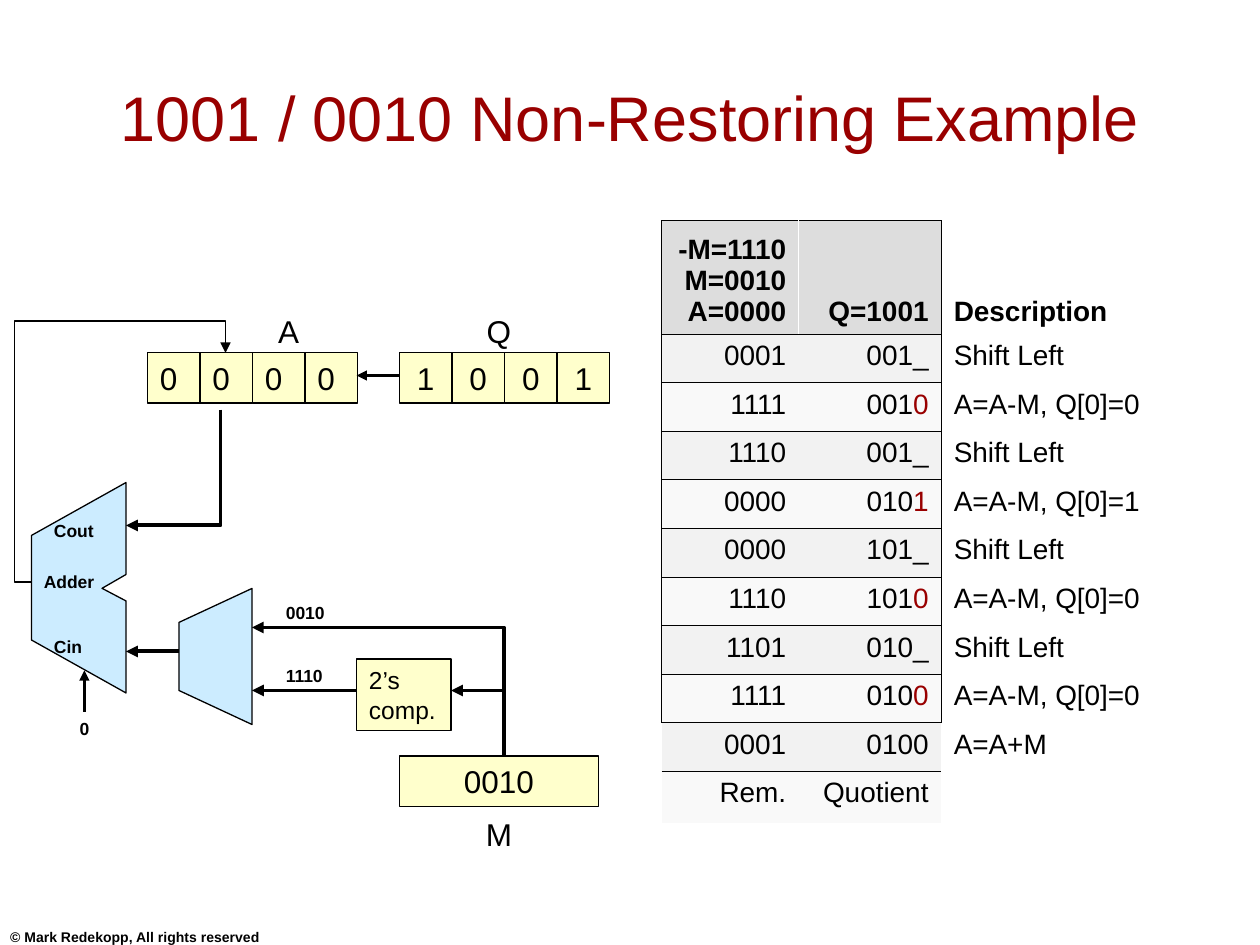
from copy import deepcopy

from lxml.etree import SubElement
from pptx import Presentation
from pptx.dml.color import RGBColor
from pptx.enum.shapes import MSO_CONNECTOR, MSO_SHAPE
from pptx.enum.text import MSO_ANCHOR, PP_ALIGN
from pptx.oxml.ns import qn
from pptx.util import Inches, Pt

COLORS = {"black": "000000", "white": "FFFFFF", "red": "990000", "blue": "CCECFF",
          "yellow": "FFFFCC", "header": "DDDDDD", "odd": "F2F2F2", "even": "F9F9F9"}
INSETS = (0.1, 0.05, 0.1, 0.05)
LEFT, CENTER, RIGHT = PP_ALIGN.LEFT, PP_ALIGN.CENTER, PP_ALIGN.RIGHT
LABEL = {"size": Pt(10), "bold": True}
CELL = 0.417
HEADINGS = ("-M=1110\vM=0010\vA=0000", "Q=1001", "Description")
STEPS = (
    ("0001", "001_", "Shift Left"), ("1111", "0010", "A=A-M, Q[0]=0"),
    ("1110", "001_", "Shift Left"), ("0000", "0101", "A=A-M, Q[0]=1"),
    ("0000", "101_", "Shift Left"), ("1110", "1010", "A=A-M, Q[0]=0"),
    ("1101", "010_", "Shift Left"), ("1111", "0100", "A=A-M, Q[0]=0"),
    ("0001", "0100", "A=A+M"), ("Rem.", "Quotient", ""),
)


def rgb(name):
    return RGBColor.from_string(COLORS[name])


def inches(*lengths):
    return [Inches(length) for length in lengths]


def write(frame, text, size=Pt(18), bold=False, align=LEFT, anchor=MSO_ANCHOR.TOP,
          color="black", insets=INSETS):
    margins = zip(("left", "top", "right", "bottom"), insets)
    formats = {f"margin_{side}": Inches(value) for side, value in margins}
    formats.update(word_wrap=True, vertical_anchor=anchor)
    for name, value in formats.items():
        setattr(frame, name, value)
    frame.text = text
    paragraph = frame.paragraphs[0]
    paragraph.alignment = align
    for run in paragraph.runs:
        for name, value in {"name": "Arial", "size": size, "bold": bold}.items():
            setattr(run.font, name, value)
        run.font.color.rgb = rgb(color)
    for line_break in paragraph._p.findall(qn("a:br")):
        line_break.insert(0, deepcopy(paragraph.runs[0]._r.rPr))


def add_text(slide, box, text, **formats):
    write(slide.shapes.add_textbox(*inches(*box)).text_frame, text, **formats)


def paint(shape, color, width=0.75):
    shape.shadow.inherit = False
    if color:
        shape.fill.solid()
        shape.fill.fore_color.rgb = rgb(color)
    else:
        shape.fill.background()
    shape.line.color.rgb = rgb("black")
    shape.line.width = Pt(width)


def add_box(slide, box, text, **formats):
    shape = slide.shapes.add_shape(MSO_SHAPE.RECTANGLE, *inches(*box))
    paint(shape, "yellow")
    write(shape.text_frame, text, **formats)


def add_outline(slide, points, color=None, width=0.75, close=True):
    start, *rest = [tuple(inches(*point)) for point in points]
    builder = slide.shapes.build_freeform(*start)
    builder.add_line_segments(rest, close=close)
    shape = builder.convert_to_shape()
    paint(shape, color, width)
    return shape


def add_arrowhead(shape):
    SubElement(shape.line._get_or_add_ln(), qn("a:tailEnd"), type="triangle")


def add_path(slide, points):
    add_arrowhead(add_outline(slide, points, width=2.25, close=False))


def add_arrow(slide, start, end, width=2.25, kind=MSO_CONNECTOR.STRAIGHT):
    connector = slide.shapes.add_connector(kind, *inches(*start, *end))
    connector.line.color.rgb = rgb("black")
    connector.line.width = Pt(width)
    add_arrowhead(connector)
    SubElement(connector._element.spPr, qn("a:effectLst"))
    return connector


def add_feedback(slide, start, end):
    connector = add_arrow(slide, start, end, 1, MSO_CONNECTOR.ELBOW)
    properties = connector._element.spPr
    transform = properties.find(qn("a:xfrm"))
    transform.attrib.pop("flipV")
    transform.set("rot", "10800000")
    transform.set("flipH", "1")
    geometry = properties.find(qn("a:prstGeom"))
    geometry.set("prst", "bentConnector4")
    guides = geometry.find(qn("a:avLst"))
    for name, value in (("adj1", -8700), ("adj2", 113800)):
        SubElement(guides, qn("a:gd"), name=name, fmla=f"val {value}")


def add_register(slide, left, top, name, name_offset, name_width, digits, align):
    add_text(slide, (left + name_offset, top - 0.37, name_width, 0.4), name, align=CENTER)
    for index, digit in enumerate(digits):
        add_box(slide, (left + index * CELL, top, CELL, 0.4), digit, align=align)


def add_adder(slide, left, top):
    outline = ((0, 0.42), (0, 1.25), (0.75, 1.67), (0.75, 0.94), (0.56, 0.84),
               (0.75, 0.73), (0.75, 0))
    add_outline(slide, [(left + x, top + y) for x, y in outline], "blue")
    for text, x, y, width in (("Cout", 0.08, 0.25, 0.58), ("Adder", 0, 0.65, 0.67),
                              ("Cin", 0.08, 1.17, 0.58)):
        add_text(slide, (left + x, top + y, width, 0.27), text, **LABEL)
    add_text(slide, (left - 0.08, top + 1.82, 1, 0.27), "0", align=CENTER, **LABEL)
    add_arrow(slide, (left + 0.42, top + 1.82), (left + 0.42, top + 1.49), 1.5)


def add_multiplexer(slide, left, top):
    outline = ((0.58, 0), (0, 0.27), (0, 0.81), (0.58, 1.08))
    add_outline(slide, [(left + x, top + y) for x, y in outline], "blue")
    for text, y in (("0010", 0.06), ("1110", 0.56)):
        add_text(slide, (left + 0.75, top + y, 0.58, 0.27), text, **LABEL)
    add_arrow(slide, (left, top + 0.5), (left - 0.42, top + 0.5))


def add_divisor(slide, left, top):
    add_box(slide, (left, top, 1.58, 0.4), "0010", align=CENTER)
    add_text(slide, (left, top + 0.42, 1.58, 0.4), "M", align=CENTER)
    add_box(slide, (left - 0.34, top - 0.77, 0.75, 0.57), "2’s comp.", size=Pt(14))
    bus, upper, lower = left + 0.83, top - 1.02, top - 0.52
    add_path(slide, [(bus, top), (bus, upper), (left - 1.17, upper)])
    add_arrow(slide, (bus, lower), (left + 0.41, lower))
    add_arrow(slide, (left - 0.34, lower), (left - 1.17, lower))


def add_datapath(slide, left, top):
    add_register(slide, left + 0.92, top, "A", 0.66, 0.92, "0000", LEFT)
    add_register(slide, left + 2.92, top, "Q", 0, 1.58, "1001", CENTER)
    add_arrow(slide, (left + 2.92, top + 0.18), (left + 2.58, top + 0.18), 1.5)
    add_adder(slide, left, top + 1.03)
    add_multiplexer(slide, left + 1.17, top + 1.87)
    add_divisor(slide, left + 2.92, top + 3.2)
    add_path(slide, [(left + 1.5, top + 0.45), (left + 1.5, top + 1.37),
                     (left + 0.75, top + 1.37)])
    add_feedback(slide, (left, top + 1.82), (left + 1.54, top))


def set_borders(cell, borders):
    properties = cell._tc.get_or_add_tcPr()
    for index, (side, color) in enumerate(borders):
        line = properties.makeelement(qn(f"a:ln{side}"), {"w": str(Pt(0.45))})
        SubElement(SubElement(line, qn("a:solidFill")), qn("a:srgbClr"), val=COLORS[color])
        properties.insert(index, line)


def cell_borders(row, column):
    if column == 2:
        return [("L", "black")] if row < 9 else []
    inner = [("white" if row == 0 else None)]
    outer = ["black" if row < 9 else None]
    left, right = (outer, inner) if column == 0 else (inner, outer)
    top = "black" if row == 0 or row % 2 else None
    if row == 10:
        top = None
    bottom = "black" if row % 2 == 0 and row < 9 else None
    sides = (("L", left[0]), ("R", right[0]), ("T", top), ("B", bottom))
    return [(side, color) for side, color in sides if color]


def add_trace(slide, left, top):
    rows = (HEADINGS, *STEPS)
    table = slide.shapes.add_table(len(rows), 3, *inches(left, top, 4.29, 4.76)).table
    table.first_row = table.horz_banding = False
    table._tbl.tblPr.find(qn("a:tableStyleId")).text = "{2D5ABB26-0587-4C30-8999-92F81FD0307C}"
    for column, width in zip(table.columns, (1.09, 1.13, 2.07)):
        column.width = Inches(width)
    for row, texts in enumerate(rows):
        table.rows[row].height = Inches(0.386 if row else 0.9)
        shade = "header" if row == 0 else "odd" if row % 2 else "even"
        for column, text in enumerate(texts):
            cell = table.cell(row, column)
            write(cell.text_frame, text, size=Pt(16), bold=row == 0,
                  align=LEFT if column == 2 else RIGHT)
            cell.vertical_anchor = MSO_ANCHOR.TOP if row else MSO_ANCHOR.BOTTOM
            cell.fill.solid()
            cell.fill.fore_color.rgb = rgb("white" if column == 2 else shade)
            set_borders(cell, cell_borders(row, column))
            if column == 1 and row in (2, 4, 6, 8):
                mark_last_digit(cell.text_frame.paragraphs[0])


def mark_last_digit(paragraph):
    run = paragraph.runs[0]
    digit = run.text[-1]
    run.text = run.text[:-1]
    run._r.addnext(deepcopy(run._r))
    paragraph.runs[1].text = digit
    paragraph.runs[1].font.color.rgb = rgb("red")


def add_title(slide, box):
    title = slide.shapes.title
    for name, value in zip(("left", "top", "width", "height"), inches(*box)):
        setattr(title, name, value)
    write(title.text_frame, "1001 / 0010 Non-Restoring Example", size=Pt(36),
          align=CENTER, anchor=MSO_ANCHOR.MIDDLE, color="red")


def main():
    presentation = Presentation()
    presentation.slide_width, presentation.slide_height = inches(10, 7.5)
    slide = presentation.slides.add_slide(presentation.slide_layouts[5])
    add_title(slide, (0.5, 0.3, 9, 1.25))
    add_trace(slide, 5.25, 1.75)
    add_datapath(slide, 0.25, 2.8)
    add_text(slide, (0.08, 7.32, 4.92, 0.18), "© Mark Redekopp, All rights reserved",
             size=Pt(8), bold=True, anchor=MSO_ANCHOR.BOTTOM, insets=(0, 0.05, 0.1, 0))
    presentation.save("out.pptx")


if __name__ == "__main__":
    main()
